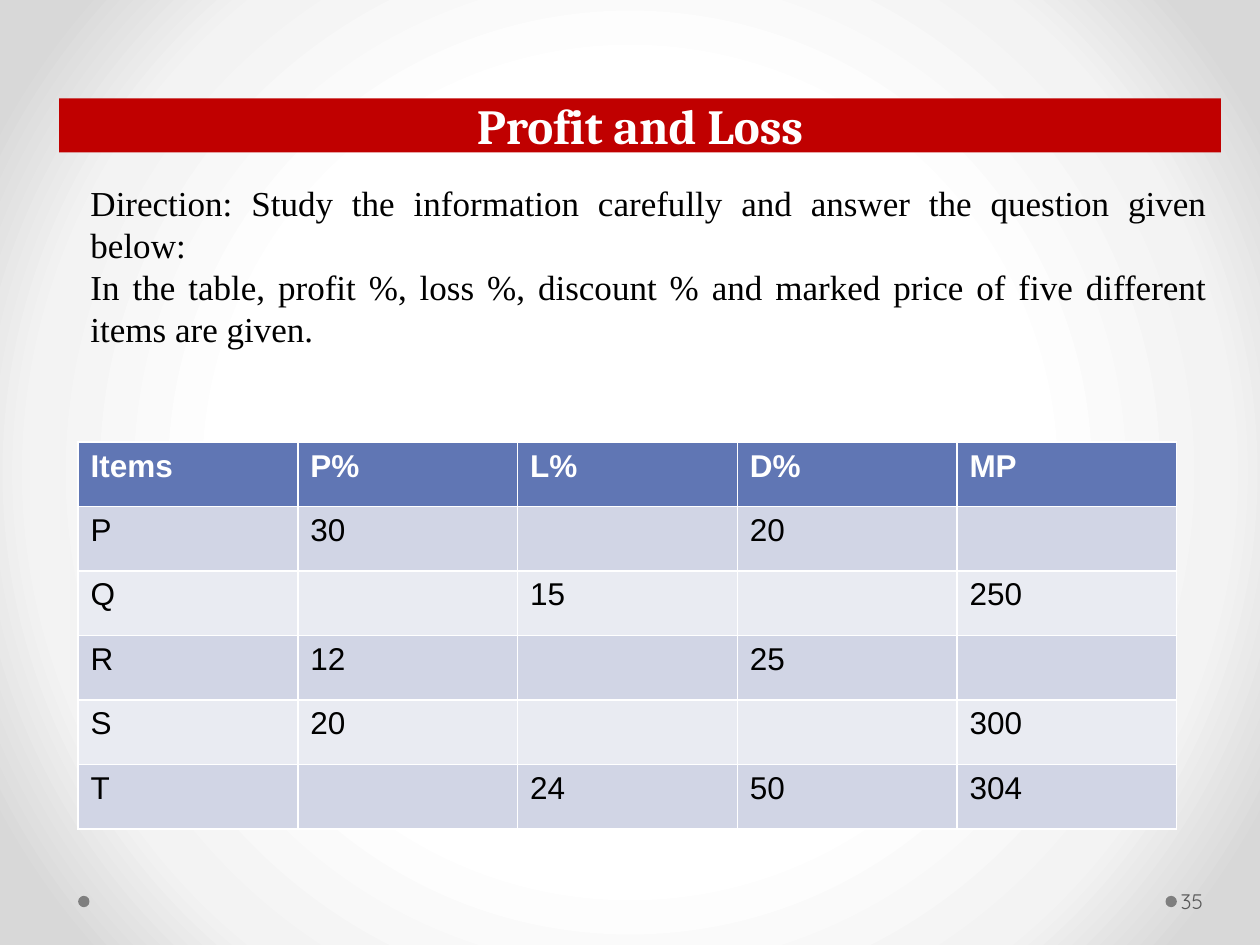
from pptx import Presentation
from pptx.dml.color import RGBColor
from pptx.enum.shapes import MSO_SHAPE
from pptx.enum.text import MSO_ANCHOR, MSO_AUTO_SIZE, PP_ALIGN
from pptx.oxml import parse_xml
from pptx.oxml.ns import nsdecls, qn
from pptx.util import Inches, Pt

CENTER, JUSTIFY, LEFT = PP_ALIGN.CENTER, PP_ALIGN.JUSTIFY, PP_ALIGN.LEFT
MIDDLE, TOP = MSO_ANCHOR.MIDDLE, MSO_ANCHOR.TOP
NO_AUTOFIT = MSO_AUTO_SIZE.NONE
OVAL = MSO_SHAPE.OVAL

WHITE = RGBColor(0xFF, 0xFF, 0xFF)
BLACK = RGBColor(0x00, 0x00, 0x00)
RED = RGBColor(0xC0, 0x00, 0x00)
DOT_GRAY = RGBColor(0x7F, 0x7F, 0x7F)
NUMBER_GRAY = RGBColor(0x59, 0x59, 0x59)
HEADER_BLUE = RGBColor(0x60, 0x76, 0xB4)
BANDS = (RGBColor(0xD1, 0xD5, 0xE5), RGBColor(0xE9, 0xEB, 0xF2))
BACKDROP = ((0, WHITE), (50, WHITE), (76, RGBColor(0xF3, 0xF3, 0xF3)),
            (92, RGBColor(0xD8, 0xD8, 0xD8)), (100, RGBColor(0xD8, 0xD8, 0xD8)))

MARGIN = 0.62
DIRECTIONS = (
    "Direction: Study the information carefully and answer the question given below:",
    "In the table, profit %, loss %, discount % and marked price of five different items are given.",
)
ITEMS = (
    ("Items", "P%", "L%", "D%", "MP"),
    ("P", "30", "", "20", ""),
    ("Q", "", "15", "", "250"),
    ("R", "12", "", "25", ""),
    ("S", "20", "", "", "300"),
    ("T", "", "24", "50", "304"),
)


def set_backdrop(s):
    """Fill the slide background with a circular gradient."""
    s.background.fill.gradient()
    grad = s.element.find(".//" + qn("a:gradFill"))
    stops = "".join(f'<a:gs pos="{pos * 1000}"><a:srgbClr val="{color}"/></a:gs>'
                    for pos, color in BACKDROP)
    grad.getparent().replace(grad, parse_xml(
        f'<a:gradFill {nsdecls("a")} rotWithShape="1"><a:gsLst>{stops}</a:gsLst>'
        '<a:path path="circle"><a:fillToRect l="50000" t="50000" r="50000" b="50000"/>'
        '</a:path></a:gradFill>'))


def style(p, size, font, color, bold=False, align=LEFT):
    """Format a whole paragraph."""
    p.alignment = align
    p.font.size, p.font.name, p.font.bold = Pt(size), font, bold
    p.font.color.rgb = color


def add_title(s, text):
    """Turn the title placeholder into a red banner."""
    sp = s.shapes.title
    sp.left, sp.top, sp.width, sp.height = map(Inches, (0.47, 0.78, 9.22, 0.43))
    sp.fill.solid()
    sp.fill.fore_color.rgb = RED
    tf = sp.text_frame
    tf.text = text
    tf.auto_size, tf.vertical_anchor = NO_AUTOFIT, MIDDLE
    style(tf.paragraphs[0], 28, "Cambria", WHITE, True, CENTER)


def add_text(s, box, lines, size, font, color, align=LEFT, anchor=TOP):
    """Add a wrapped text box with one paragraph per line."""
    tf = s.shapes.add_textbox(*map(Inches, box)).text_frame
    tf.word_wrap, tf.vertical_anchor = True, anchor
    tf.text = "\n".join(lines)
    for p in tf.paragraphs:
        style(p, size, font, color, align=align)
    return tf


def add_dot(s, left):
    """Add a small gray footer dot."""
    sp = s.shapes.add_shape(OVAL, *map(Inches, (left, 7.11, 0.09, 0.09)))
    sp.shadow.inherit = False
    sp.fill.solid()
    sp.fill.fore_color.rgb = DOT_GRAY
    sp.line.fill.background()


def add_items_table(s, rows):
    """Add the table with a blue header and banded rows."""
    box = map(Inches, (MARGIN, 3.51, 8.72, 3.07))
    table = s.shapes.add_table(len(rows), len(rows[0]), *box).table
    for i, row in enumerate(rows):
        header = i == 0
        for j, text in enumerate(row):
            cell = table.cell(i, j)
            cell.text = text
            cell.fill.solid()
            cell.fill.fore_color.rgb = HEADER_BLUE if header else BANDS[(i - 1) % 2]
            style(cell.text_frame.paragraphs[0], 18, "Arial", WHITE if header else BLACK, header)


def main():
    """Build the slide."""
    prs = Presentation()
    prs.slide_width, prs.slide_height = Inches(10), Inches(7.5)
    s = prs.slides.add_slide(prs.slide_layouts[5])
    set_backdrop(s)
    for left in (9.25, MARGIN):
        add_dot(s, left)
    number = add_text(s, (9.34, 6.95, 0.61, 0.4), ("35",), 12, "Quicksand", NUMBER_GRAY,
                      anchor=MIDDLE)
    number.margin_left, number.margin_right = Inches(0.03), Inches(0.05)
    add_title(s, "Profit and Loss")
    add_text(s, (MARGIN, 1.39, 9.06, 1.78), DIRECTIONS, 20, "Times New Roman", BLACK, JUSTIFY)
    add_items_table(s, ITEMS)
    prs.save("out.pptx")


if __name__ == "__main__":
    main()
